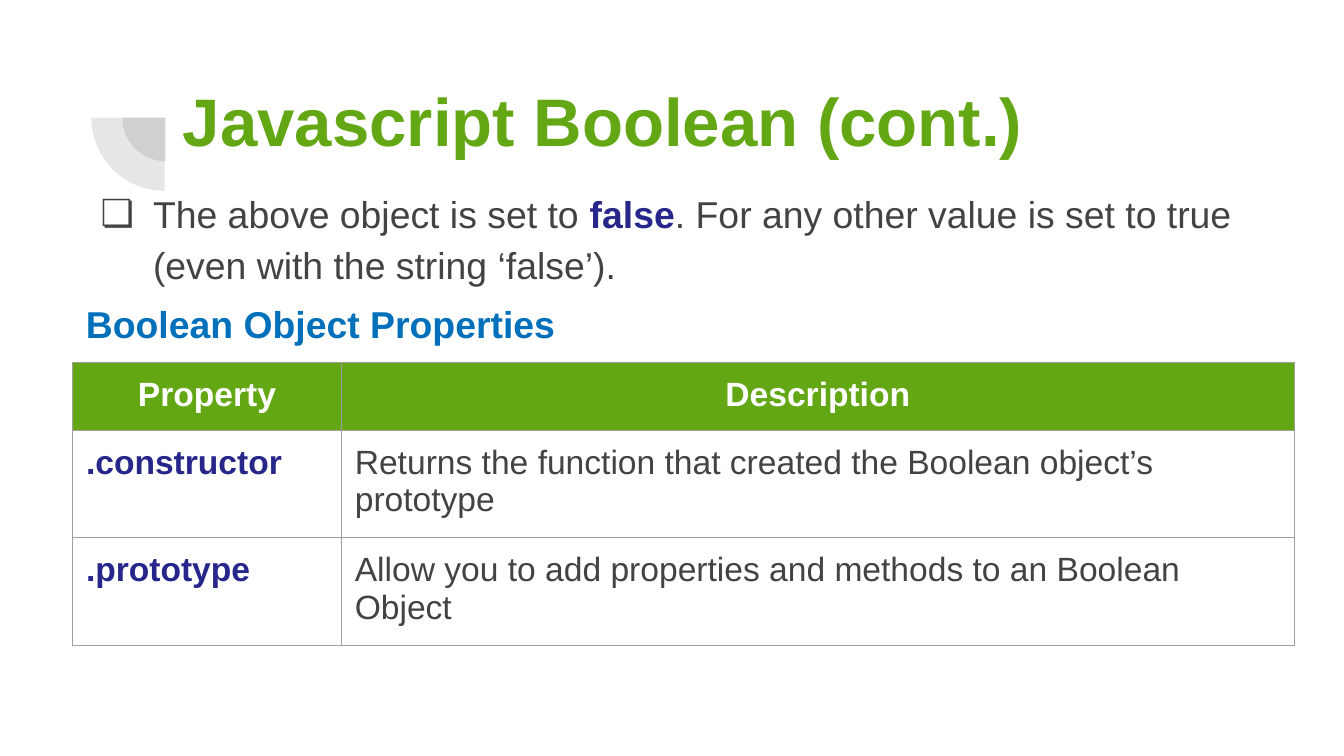
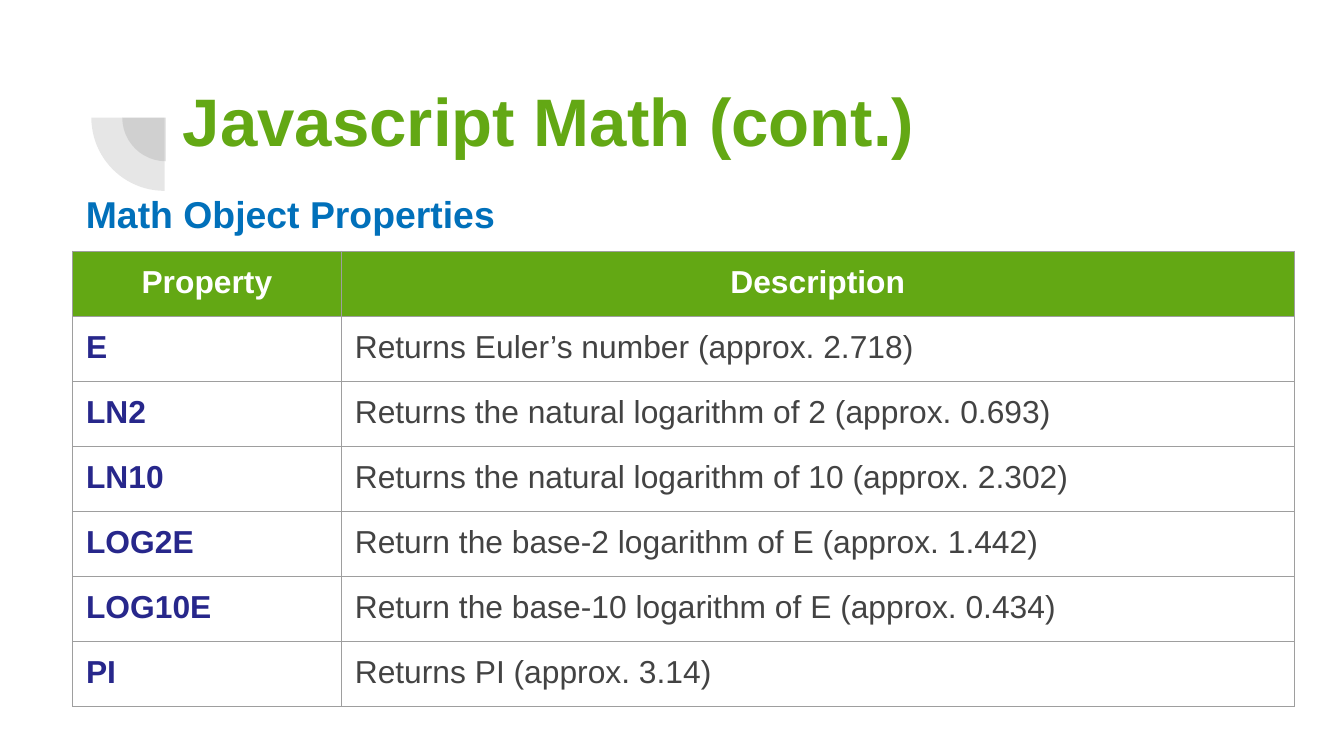
from pptx import Presentation
from pptx.dml.color import RGBColor
from pptx.enum.shapes import MSO_SHAPE
from pptx.enum.text import MSO_ANCHOR, PP_ALIGN
from pptx.oxml import parse_xml
from pptx.oxml.ns import nsdecls
from pptx.util import Inches, Pt

PIE = MSO_SHAPE.PIE
TOP = MSO_ANCHOR.TOP
LEFT, MID = PP_ALIGN.LEFT, PP_ALIGN.CENTER

GREEN, NAVY, BLUE = "63A814", "27278B", "0170BA"
DARK, GREY, WHITE = "434343", "9E9E9E", "FFFFFF"


def style(font, size, color, bold=False):
    font.name = "Arial"
    font.size = Pt(size)
    font.bold = bold
    font.color.rgb = RGBColor.from_string(color)


def inset(box):
    box.margin_left = box.margin_right = Inches(0.1)
    box.margin_top = box.margin_bottom = Inches(0.1)
    box.vertical_anchor = TOP


# Content: title, bullet runs (text, strong), heading, table place and rows
pages = [
    {
        "title": "Javascript Boolean (cont.)",
        "note": [("The above object is set to ", False), ("false", True),
                 (". For any other value is set to true (even with the string ‘false’).", False)],
        "head": "Boolean Object Properties",
        "top": 2.7, "size": 18, "high": [0.48, 0.76],
        "rows": [
            (".constructor", "Returns the function that created the Boolean object’s prototype"),
            (".prototype", "Allow you to add properties and methods to an Boolean Object"),
        ],
    },
    {
        "title": "Javascript Math (cont.)",
        "note": [],
        "head": "Math Object Properties",
        "top": 1.87, "size": 17, "high": [0.46, 0.46],
        "rows": [
            ("E", "Returns Euler’s number (approx. 2.718)"),
            ("LN2", "Returns the natural logarithm of 2 (approx. 0.693)"),
            ("LN10", "Returns the natural logarithm of 10 (approx. 2.302)"),
            ("LOG2E", "Return the base-2 logarithm of E (approx. 1.442)"),
            ("LOG10E", "Return the base-10 logarithm of E (approx. 0.434)"),
            ("PI", "Returns PI (approx. 3.14)"),
        ],
    },
]

# Widescreen 16:9
deck = Presentation()
deck.slide_width = Inches(10)
deck.slide_height = deck.slide_width * 9 // 16

for page in pages:
    slide = deck.slides.add_slide(deck.slide_layouts[5])

    # Quarter circles behind the title
    group = slide.shapes.add_group_shape()
    for x, y, side in [(0.91, 0.55, 0.65), (0.68, 0.33, 1.09)]:
        pie = group.shapes.add_shape(PIE, Inches(x), Inches(y), Inches(side), Inches(side))
        pie.adjustments[0], pie.adjustments[1] = 108, 162
        pie.rotation = 270
        pie.shadow.inherit = False
        pie.line.fill.background()
        pie.fill.solid()
        pie.fill.fore_color.rgb = RGBColor.from_string("424242")
        tint = pie.fill._xPr.solidFill[0]
        tint.append(parse_xml(f'<a:alpha {nsdecls("a")} val="13000"/>'))
    slide.shapes._spTree.insert(2, group._element)

    # Title
    title = slide.shapes.title
    title.left, title.top = Inches(1.26), Inches(0.49)
    title.width, title.height = Inches(7.73), Inches(0.73)
    inset(title.text_frame)
    title.text_frame.text = page["title"]
    para = title.text_frame.paragraphs[0]
    para.alignment = LEFT
    style(para.font, 36, GREEN, True)

    # Bullet and heading
    body = slide.shapes.add_textbox(Inches(0.54), Inches(1.27), Inches(8.95), Inches(4.24))
    frame = body.text_frame
    frame.word_wrap = True
    inset(frame)
    para = frame.paragraphs[0]
    if page["note"]:
        para.line_spacing = 1.15
        props = para._p.get_or_add_pPr()
        props.set("marL", str(Inches(0.5)))
        props.set("indent", str(-Inches(0.39)))
        for mark in (f'<a:buClr {nsdecls("a")}><a:srgbClr val="{DARK}"/></a:buClr>',
                     f'<a:buFont {nsdecls("a")} typeface="Arial"/>',
                     f'<a:buChar {nsdecls("a")} char="❏"/>'):
            props.append(parse_xml(mark))
        style(para.font, 20, DARK)
        for text, strong in page["note"]:
            run = para.add_run()
            run.text = text
            if strong:
                style(run.font, 20, NAVY, True)
        para = frame.add_paragraph()
        para.space_before = Pt(4)
    para.text = page["head"]
    para.line_spacing = 1.15
    style(para.font, 20, BLUE, True)

    # Property table; run fonts keep the row heights tight
    rows = [("Property", "Description")] + page["rows"]
    first, rest = page["high"]
    table = slide.shapes.add_table(len(rows), 2, Inches(0.54), Inches(page["top"]), Inches(9.09),
                                   Inches(first + rest * len(page["rows"]))).table
    table.horz_banding = False
    table.columns[0].width, table.columns[1].width = Inches(2), Inches(7.09)
    for r, row in enumerate(rows):
        table.rows[r].height = Inches(rest if r else first)
        for c, text in enumerate(row):
            cell = table.cell(r, c)
            cell.text = text
            inset(cell)
            para = cell.text_frame.paragraphs[0]
            font = para.runs[0].font
            props = cell._tc.get_or_add_tcPr()
            for edge in ("lnL", "lnR", "lnT", "lnB"):
                props.append(parse_xml(
                    f'<a:{edge} {nsdecls("a")} w="{Pt(0.75)}"><a:solidFill>'
                    f'<a:srgbClr val="{GREY}"/></a:solidFill></a:{edge}>'))
            if r == 0:
                cell.fill.solid()
                cell.fill.fore_color.rgb = RGBColor.from_string(GREEN)
                para.alignment = MID
                style(font, page["size"], WHITE, True)
            else:
                cell.fill.background()
                style(font, page["size"], DARK if c else NAVY, c == 0)

deck.save("out.pptx")
